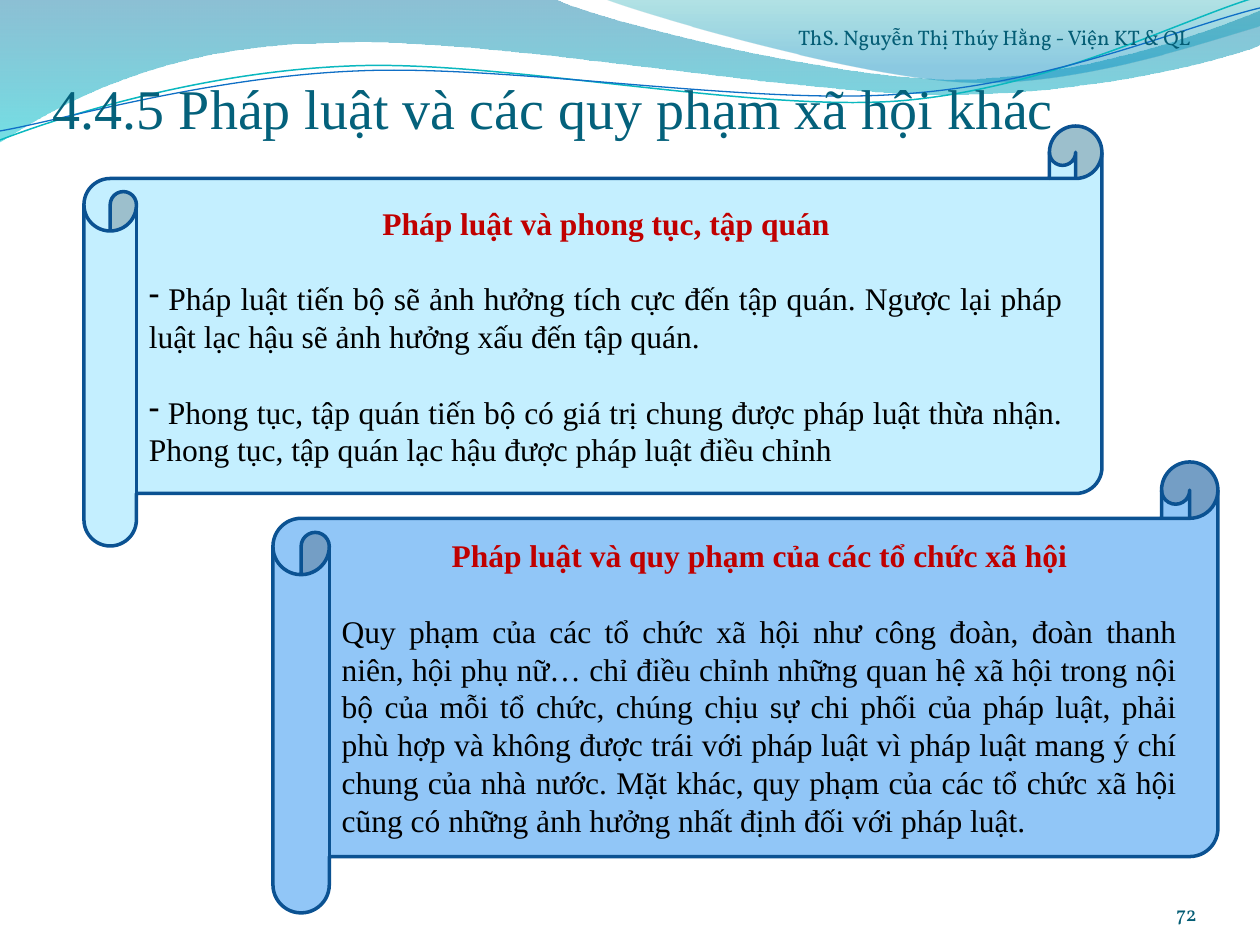
"""Build the slide on law and other social norms."""
from dataclasses import dataclass

from lxml import etree
from pptx import Presentation
from pptx.dml.color import RGBColor
from pptx.enum.shapes import MSO_SHAPE
from pptx.enum.text import MSO_ANCHOR, PP_ALIGN
from pptx.oxml.ns import qn
from pptx.util import Pt

EMU_PER_PX = 914400 / 126
SCROLL = MSO_SHAPE.HORIZONTAL_SCROLL
MIDDLE, BOTTOM = MSO_ANCHOR.MIDDLE, MSO_ANCHOR.BOTTOM
LEFT, CENTER, RIGHT, JUSTIFY = PP_ALIGN.LEFT, PP_ALIGN.CENTER, PP_ALIGN.RIGHT, PP_ALIGN.JUSTIFY


@dataclass(frozen=True)
class Theme:
    """Colours, fonts and type sizes of the slide."""
    title: str = "04617B"
    footer: str = "045D75"
    heading: str = "C00000"
    body: str = "000000"
    outline: str = "0B5292"
    pale_scroll: str = "C4EFFF"
    blue_scroll: str = "91C6F7"
    teal_line: str = "0AB8BF"
    blue_line: str = "0F6FC6"
    left_wave: tuple = ((0, "0074A1", 45), (1, "00C6CF", 55))
    right_wave: tuple = ((0, "00A1A9", 30), (0.8, "008BBF", 45))
    serif: str = "Times New Roman"
    footer_font: str = "Vollkorn"
    title_size: float = 32
    body_size: float = 18
    footer_size: float = 12
    paragraph_gap: float = 21.6


def emu(px):
    """Turn pixels into EMU."""
    return round(px * EMU_PER_PX)


def apply(target, formats):
    """Set each named format value on the target."""
    for name, value in formats.items():
        setattr(target, name, value)


class SlideBuilder:
    """Hold the theme and the current slide and draw its elements."""

    def __init__(self, slide, theme):
        """Keep the slide and its theme."""
        self.slide = slide
        self.theme = theme

    def outline(self, start, segments, close):
        """Draw a freeform of straight (2 numbers) and cubic (6 numbers) segments."""
        anchors = [start] + [segment[-2:] for segment in segments]
        builder = self.slide.shapes.build_freeform(*start, scale=EMU_PER_PX)
        builder.add_line_segments(anchors[1:], close=close)
        shape = builder.convert_to_shape()
        shape.shadow.inherit = False
        left, top = (min(values) for values in zip(*anchors))
        steps = list(shape.element.spPr.iter(qn("a:lnTo")))
        for step, segment in zip(steps, segments):
            if len(segment) == 6:
                cubic = etree.Element(qn("a:cubicBezTo"))
                for x, y in zip(segment[::2], segment[1::2]):
                    etree.SubElement(cubic, qn("a:pt"), x=str(x - left), y=str(y - top))
                step.getparent().replace(step, cubic)
        return shape

    def wave(self, start, segments, gradient):
        """Draw a wave filled with a see-through vertical gradient."""
        shape = self.outline(start, segments, True)
        shape.line.fill.background()
        shape.fill.gradient()
        shape.fill.gradient_angle = 270
        for stop, (position, color, opacity) in zip(shape.fill.gradient_stops, gradient):
            stop.position = position
            stop.color.rgb = RGBColor.from_string(color)
        colors = shape.element.spPr.find(qn("a:gradFill")).iter(qn("a:srgbClr"))
        for node, (position, color, opacity) in zip(colors, gradient):
            etree.SubElement(node, qn("a:alpha"), val=str(opacity * 1000))

    def curve(self, start, segments, color, width):
        """Draw an open curved line."""
        shape = self.outline(start, segments, False)
        shape.fill.background()
        shape.line.color.rgb = RGBColor.from_string(color)
        shape.line.width = Pt(width)

    def paragraph(self, paragraph, text, color, font, alignment=LEFT, bullet=None):
        """Fill one paragraph with a single formatted run."""
        paragraph.alignment = alignment
        if bullet:
            properties = paragraph._p.get_or_add_pPr()
            etree.SubElement(properties, qn("a:buFontTx"))
            etree.SubElement(properties, qn("a:buChar"), char=bullet)
        run = paragraph.add_run()
        run.text = text
        apply(run.font, font)
        run.font.color.rgb = RGBColor.from_string(color)

    def text(self, box, text, color, font, alignment=LEFT, top=0):
        """Add a one-line text box that sits on its bottom edge."""
        frame = self.slide.shapes.add_textbox(*map(emu, box)).text_frame
        apply(frame, {"word_wrap": True, "vertical_anchor": BOTTOM, "margin_left": 0,
                      "margin_right": 0, "margin_top": emu(top), "margin_bottom": 0})
        self.paragraph(frame.paragraphs[0], text, color, font, alignment)

    def scroll(self, box, fill, heading, items, bullet=None):
        """Add a scroll with a heading and justified paragraphs."""
        theme = self.theme
        shape = self.slide.shapes.add_shape(SCROLL, *map(emu, box))
        shape.shadow.inherit = False
        shape.fill.solid()
        shape.fill.fore_color.rgb = RGBColor.from_string(fill)
        shape.line.color.rgb = RGBColor.from_string(theme.outline)
        shape.line.width = Pt(2)
        frame = shape.text_frame
        apply(frame, {"word_wrap": True, "vertical_anchor": MIDDLE})
        font = {"name": theme.serif, "size": Pt(theme.body_size)}
        self.paragraph(frame.paragraphs[0], heading, theme.heading, {**font, "bold": True}, CENTER)
        for item in items:
            paragraph = frame.add_paragraph()
            paragraph.space_before = Pt(theme.paragraph_gap)
            self.paragraph(paragraph, item, theme.body, font, JUSTIFY, bullet)


def main():
    """Build and save the presentation."""
    presentation = Presentation()
    apply(presentation, {"slide_width": emu(1260), "slide_height": emu(945)})
    theme = Theme()
    builder = SlideBuilder(presentation.slides.add_slide(presentation.slide_layouts[6]), theme)

    builder.wave((0, 0), [
        (554, -1), (600, 21, 837, 79, 955, 79), (1074, 79, 1207, 33, 1260, 11), (1261, 45),
        (1239, 55, 1096, 96, 940, 94), (784, 94, 481, 35, 324, 43), (163, 45, 58, 105, -1, 142),
    ], theme.left_wave)
    builder.wave((604, -1), [
        (641, 14, 859, 78, 969, 82), (1079, 86, 1211, 40, 1260, 26), (1260, 0),
    ], theme.right_wave)
    builder.curve((0, 140), [
        (60, 117, 199, 72, 349, 66), (498, 59, 747, 112, 898, 101),
        (1050, 89, 1182, 19, 1257, -3),
    ], theme.teal_line, 0.85)
    builder.curve((0, 131), [
        (59, 121, 207, 77, 357, 71), (508, 64, 752, 106, 903, 94), (1053, 84, 1185, 26, 1260, 8),
    ], theme.blue_line, 0.75)

    builder.text((53, 53, 1033, 88), "4.4.5\tPháp luật và các quy phạm xã hội khác", theme.title,
                 {"name": theme.serif, "size": Pt(theme.title_size)}, top=6)
    builder.scroll((84, 126, 1018, 420), theme.pale_scroll, "Pháp luật và phong tục, tập quán", [
        " Pháp luật tiến bộ sẽ ảnh hưởng tích cực đến tập quán. Ngược lại pháp luật lạc hậu "
        "sẽ ảnh hưởng xấu đến tập quán.",
        " Phong tục, tập quán tiến bộ có giá trị chung được pháp luật thừa nhận. Phong tục, "
        "tập quán lạc hậu được pháp luật điều chỉnh",
    ], bullet="-")
    builder.scroll((273, 462, 945, 451), theme.blue_scroll,
                   "Pháp luật và quy phạm của các tổ chức xã hội", [
        "Quy phạm của các tổ chức xã hội như công đoàn, đoàn thanh niên, hội phụ nữ… chỉ điều "
        "chỉnh những quan hệ xã hội trong nội bộ của mỗi tổ chức, chúng chịu sự chi phối của "
        "pháp luật, phải phù hợp và không được trái với pháp luật vì pháp luật mang ý chí chung "
        "của nhà nước. Mặt khác, quy phạm của các tổ chức xã hội cũng có những ảnh hưởng nhất "
        "định đối với pháp luật.",
    ])
    footer = {"name": theme.footer_font, "size": Pt(theme.footer_size)}
    builder.text((798, 0, 462, 50), "ThS. Nguyễn Thị Thúy Hằng - Viện KT & QL", theme.footer, footer)
    builder.text((1092, 876, 105, 50), "72", theme.footer, footer, RIGHT)
    presentation.save("out.pptx")


if __name__ == "__main__":
    main()
